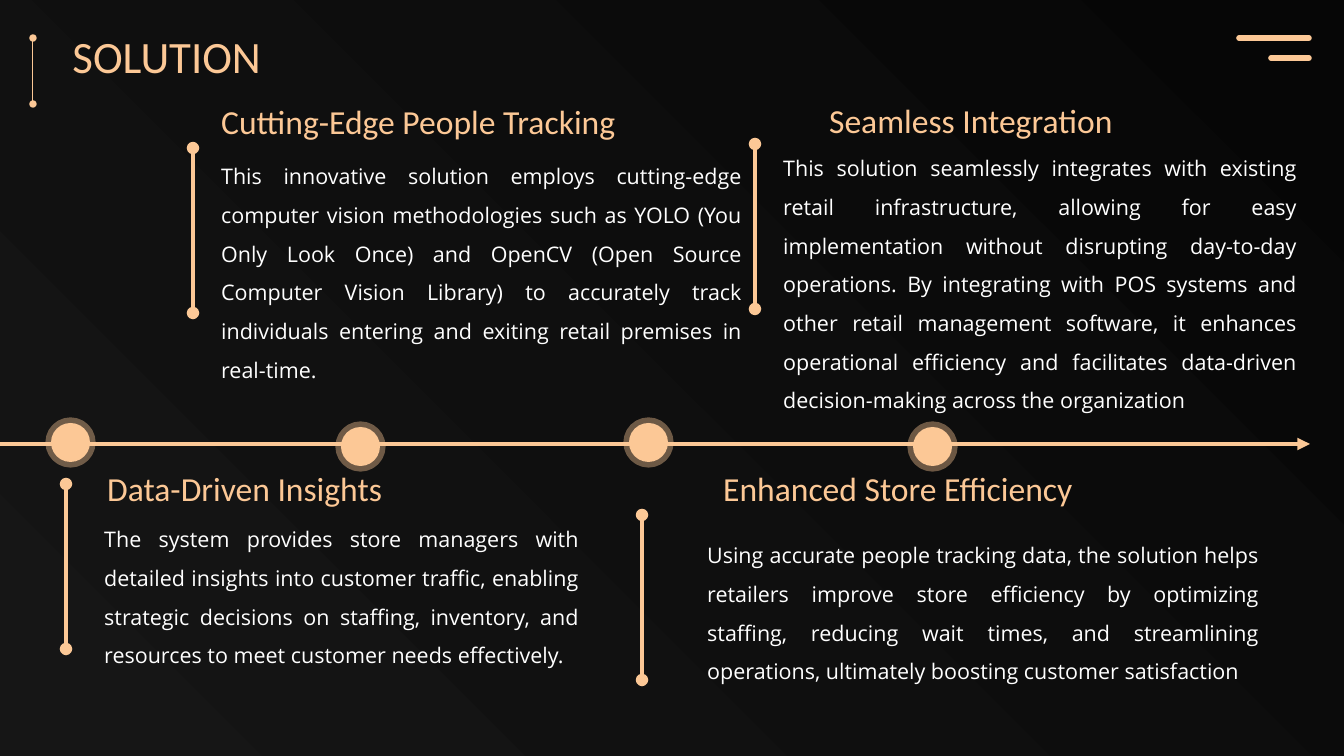
from pptx import Presentation
from pptx.dml.color import RGBColor
from pptx.enum.shapes import MSO_CONNECTOR, MSO_SHAPE
from pptx.enum.text import MSO_ANCHOR, PP_ALIGN
from pptx.oxml.ns import qn
from pptx.util import Pt
from lxml import etree

STRAIGHT = MSO_CONNECTOR.STRAIGHT
OVAL = MSO_SHAPE.OVAL
TOP = MSO_ANCHOR.TOP
LEFT, JUSTIFY = PP_ALIGN.LEFT, PP_ALIGN.JUSTIFY

EMU_PER_PX = 914400 / 134.4
PEACH, WHITE = "FCC896", "FFFFFF"
HEADING_HEIGHT, RULE_HEIGHT, MARKER_SIZE = 54, 165, 39

CARDS = [
    {
        "box": (91, 507, 501, 169),
        "heading_at": (3, -46, 332),
        "rule_at": (-25, -23),
        "heading": "Data-Driven Insights",
        "body": "The system provides store managers with detailed insights into "
                "customer traffic, enabling strategic decisions on staffing, "
                "inventory, and resources to meet customer needs effectively.",
    },
    {
        "box": (208, 144, 547, 284),
        "heading_at": (0, -50, 547),
        "rule_at": (-15, 4),
        "heading": "Cutting-Edge People Tracking",
        "body": "This innovative solution employs cutting-edge computer vision "
                "methodologies such as YOLO (You Only Look Once) and OpenCV (Open "
                "Source Computer Vision Library) to accurately track individuals "
                "entering and exiting retail premises in real-time.",
    },
    {
        "box": (694, 523, 578, 157),
        "heading_at": (16, -62, 583),
        "rule_at": (-52, -8),
        "heading": "Enhanced Store Efficiency",
        "body": "Using accurate people tracking data, the solution helps retailers "
                "improve store efficiency by optimizing staffing, reducing wait "
                "times, and streamlining operations, ultimately boosting customer "
                "satisfaction",
    },
    {
        "box": (770, 136, 540, 284),
        "heading_at": (46, -43, 332),
        "rule_at": (-15, 8),
        "heading": "Seamless Integration",
        "body": "This solution seamlessly integrates with existing retail "
                "infrastructure, allowing for easy implementation without "
                "disrupting day-to-day operations. By integrating with POS systems "
                "and other retail management software, it enhances operational "
                "efficiency and facilitates data-driven decision-making across the "
                "organization",
    },
]


def px(*lengths):
    return [round(length * EMU_PER_PX) for length in lengths]


def color(value):
    return RGBColor.from_string(value)


def add_line(shapes, start, end, width, head=None, tail=None, cap=None, tip="med"):
    line = shapes.add_connector(STRAIGHT, *px(*start, *end))
    line.line.color.rgb = color(PEACH)
    line.line.width = Pt(width)
    outline = line.line._get_or_add_ln()
    if cap:
        outline.set("cap", cap)
    for tag, kind in (("a:headEnd", head), ("a:tailEnd", tail)):
        if kind:
            etree.SubElement(outline, qn(tag), type=kind, w=tip, len=tip)
    etree.SubElement(line._element.spPr, qn("a:effectLst"))


def write_text(shape, text, size, font, fill, align=LEFT, spacing=None):
    frame = shape.text_frame
    frame.word_wrap = True
    frame.vertical_anchor = TOP
    frame.text = text
    para = frame.paragraphs[0]
    para.alignment = align
    para.line_spacing = spacing
    para.font.size = Pt(size)
    para.font.name = font
    para.font.color.rgb = color(fill)


def paint_background(page):
    fill = page.background.fill
    fill.gradient()
    fill.gradient_angle = 225
    for stop, value in zip(fill.gradient_stops, ("060606", "161616")):
        stop.color.rgb = color(value)


def add_title(page, box):
    left, top, width, height = box
    title = page.shapes.title
    title.left, title.top, title.width, title.height = px(*box)
    write_text(title, "SOLUTION", 24, "Calibri", PEACH)
    add_line(page.shapes, (left - 26, top + 16), (left - 26, top + 82), 0.5,
             "oval", "oval", tip="sm")


def add_menu_icon(page, box):
    left, top, width, height = box
    icon = page.shapes.add_group_shape()
    right = left + width
    add_line(icon.shapes, (left, top), (right, top), 3, cap="rnd")
    add_line(icon.shapes, (left + 32, top + height), (right, top + height), 3, cap="rnd")


def add_timeline(page, box):
    left, top, width, height = box
    middle = top + height // 2
    add_line(page.shapes, (left, middle), (left + width, middle), 2.25, tail="triangle")
    for marker_left, drop in ((51, 0), (341, 4), (629, 0), (913, 4)):
        marker = page.shapes.add_shape(
            OVAL, *px(marker_left, top + drop, MARKER_SIZE, MARKER_SIZE))
        marker.shadow.inherit = False
        marker.fill.solid()
        marker.fill.fore_color.rgb = color(PEACH)
        marker.line.color.rgb = color(PEACH)
        marker.line.width = Pt(6)
        tint = marker.line._get_or_add_ln().find(".//" + qn("a:srgbClr"))
        etree.SubElement(tint, qn("a:alpha"), val="40000")


def add_card(page, box, heading_at, rule_at, heading, body):
    left, top, width, height = box
    rule_left, rule_top = left + rule_at[0], top + rule_at[1]
    add_line(page.shapes, (rule_left, rule_top), (rule_left, rule_top + RULE_HEIGHT),
             2.25, "oval", "oval")
    body_box = page.shapes.add_textbox(*px(*box))
    write_text(body_box, body, 11.5, "Open Sans", WHITE, JUSTIFY, 1.5)
    shift, rise, heading_width = heading_at
    heading_box = page.shapes.add_textbox(
        *px(left + shift, top + rise, heading_width, HEADING_HEIGHT))
    write_text(heading_box, heading, 18, "Calibri", PEACH)


def main():
    deck = Presentation()
    deck.slide_width, deck.slide_height = px(1344, 756)
    page = deck.slides.add_slide(deck.slide_layouts[5])
    paint_background(page)
    add_title(page, (59, 22, 418, 67))
    add_timeline(page, (-73, 423, 1383, 43))
    for card in CARDS:
        add_card(page, **card)
    add_menu_icon(page, (1239, 38, 70, 20))
    deck.save("out.pptx")


if __name__ == "__main__":
    main()
